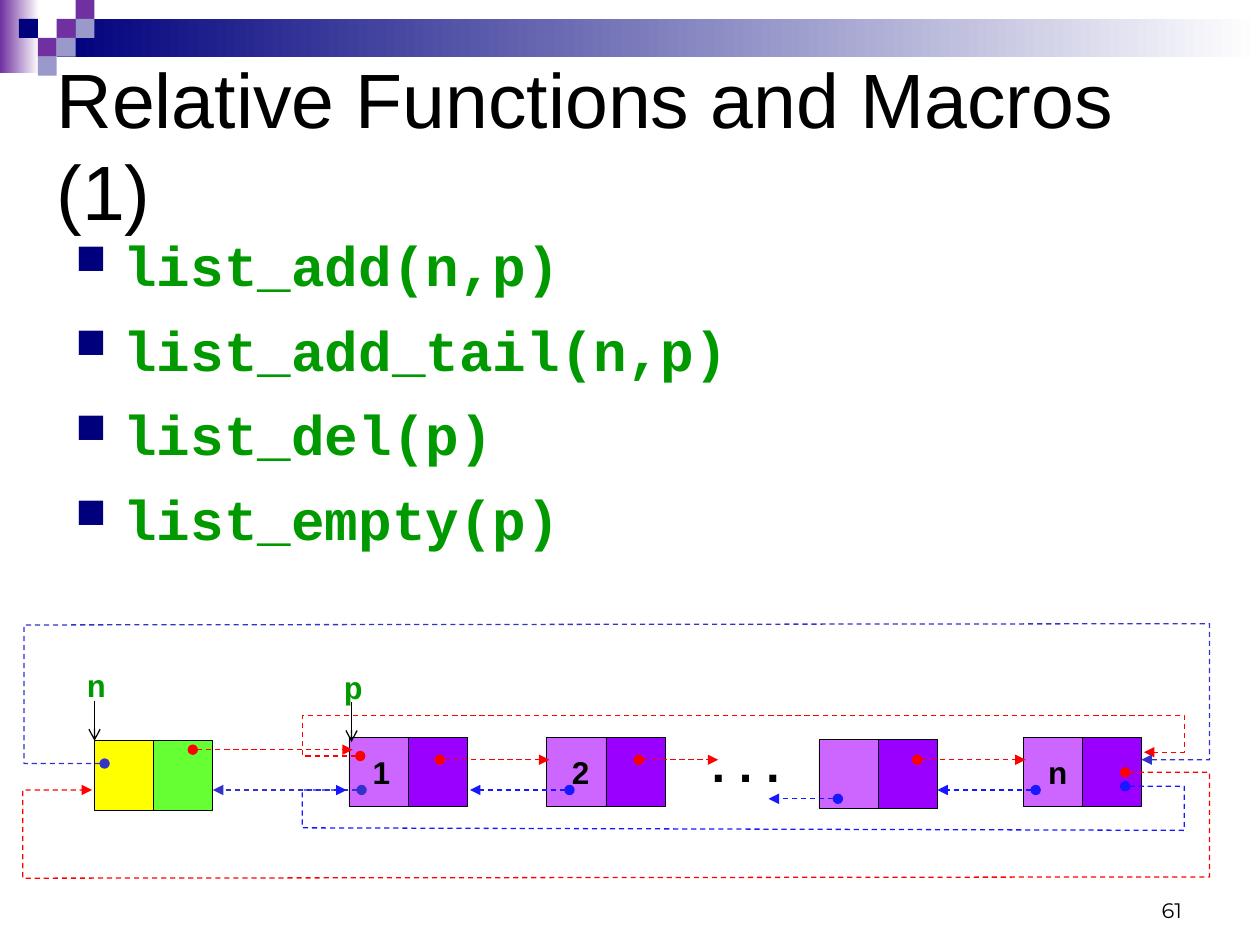
from lxml import etree
from pptx import Presentation
from pptx.dml.color import RGBColor
from pptx.enum.dml import MSO_LINE
from pptx.enum.shapes import MSO_CONNECTOR, MSO_SHAPE
from pptx.enum.text import MSO_ANCHOR, PP_ALIGN
from pptx.oxml.ns import qn
from pptx.util import Inches, Pt

RECT = MSO_SHAPE.RECTANGLE
STRAIGHT = MSO_CONNECTOR.STRAIGHT
DASH = MSO_LINE.DASH
TOP, MIDDLE, BOTTOM = MSO_ANCHOR.TOP, MSO_ANCHOR.MIDDLE, MSO_ANCHOR.BOTTOM
LEFT, RIGHT = PP_ALIGN.LEFT, PP_ALIGN.RIGHT

BLACK = RGBColor(0x00, 0x00, 0x00)
WHITE = RGBColor(0xFF, 0xFF, 0xFF)
NAVY = RGBColor(0x00, 0x00, 0x7D)
PLUM = RGBColor(0x70, 0x30, 0xA0)
LAVENDER = RGBColor(0x99, 0x99, 0xCC)
GREEN = RGBColor(0x00, 0x99, 0x00)
YELLOW = RGBColor(0xFF, 0xFF, 0x00)
LIME = RGBColor(0x66, 0xFF, 0x33)
ORCHID = RGBColor(0xCC, 0x66, 0xFF)
VIOLET = RGBColor(0x99, 0x00, 0xFF)
RED = RGBColor(0xFF, 0x00, 0x00)
BLUE = RGBColor(0x18, 0x18, 0xFF)
INDIGO = RGBColor(0x33, 0x33, 0xCC)


def add_rect(s, x, y, w, h, color, outlined=False, fade=False):
    sp = s.shapes.add_shape(RECT, Inches(x), Inches(y), Inches(w), Inches(h))
    sp.shadow.inherit = False
    if fade:
        sp.fill.gradient()
        sp.fill.gradient_angle = 0
        for stop, stop_color, position in zip(sp.fill.gradient_stops, (color, WHITE), (0, 1)):
            stop.color.rgb = stop_color
            stop.position = position
    else:
        sp.fill.solid()
        sp.fill.fore_color.rgb = color
    if outlined:
        sp.line.color.rgb = BLACK
        sp.line.width = Pt(0.5)
    else:
        sp.line.fill.background()


def add_text(s, x, y, w, h, lines, size, font="Arial", color=BLACK, bold=False,
             anchor=TOP, align=LEFT, wrap=True):
    sp = s.shapes.add_textbox(Inches(x), Inches(y), Inches(w), Inches(h))
    tf = sp.text_frame
    tf.word_wrap = wrap
    tf.vertical_anchor = anchor
    tf.text = "\n".join(lines)
    for p in tf.paragraphs:
        p.alignment = align
        for r in p.runs:
            r.font.name = font
            r.font.size = Pt(size)
            r.font.bold = bold
            r.font.color.rgb = color
    return tf


def style_line(sp, color, tail, head=None, dashed=False):
    sp.line.color.rgb = color
    sp.line.width = Pt(0.75)
    if dashed:
        sp.line.dash_style = DASH
    ln = sp.line._get_or_add_ln()
    if head:
        etree.SubElement(ln, qn("a:headEnd"), type=head)
    etree.SubElement(ln, qn("a:tailEnd"), type=tail)


def add_arrow(s, x1, y1, x2, y2, color, tail="triangle", head="oval", dashed=True):
    sp = s.shapes.add_connector(STRAIGHT, Inches(x1), Inches(y1), Inches(x2), Inches(y2))
    style_line(sp, color, tail, head, dashed)
    etree.SubElement(sp._element.spPr, qn("a:effectLst"))


def add_loop(s, x, y, points, color):
    start, *rest = [(Inches(x + px), Inches(y + py)) for px, py in points]
    builder = s.shapes.build_freeform(*start)
    builder.add_line_segments(rest, close=False)
    sp = builder.convert_to_shape()
    sp.shadow.inherit = False
    sp.fill.background()
    style_line(sp, color, "triangle", "oval", True)


def add_header(s, x, y):
    add_rect(s, x, y, 0.31, 0.58, PLUM, fade=True)
    add_rect(s, x + 0.45, y + 0.15, 9.55, 0.3, NAVY, fade=True)
    tiles = [(3, 1, PLUM), (4, 0, PLUM), (4, 1, LAVENDER), (2, 2, PLUM),
             (1, 1, NAVY), (3, 2, LAVENDER), (2, 3, LAVENDER)]
    for col, row, color in tiles:
        add_rect(s, x + 0.15 * col, y + 0.15 * row, 0.15, 0.15, color)


def add_bullets(s, x, y, w, h, lines):
    tf = add_text(s, x, y, w, h, lines, 32, "Courier New", GREEN, True)
    for p in tf.paragraphs:
        p.space_before = Pt(8)
        p.space_after = Pt(2)
        pPr = p._p.get_or_add_pPr()
        pPr.set("marL", str(Inches(0.38)))
        pPr.set("indent", str(Inches(-0.38)))
        bullet_color = etree.SubElement(pPr, qn("a:buClr"))
        etree.SubElement(bullet_color, qn("a:srgbClr"), val=str(NAVY))
        etree.SubElement(pPr, qn("a:buSzPct"), val="75000")
        etree.SubElement(pPr, qn("a:buChar"), char="■")


def add_node(s, x, y, left_color=ORCHID, right_color=VIOLET):
    for i, color in enumerate((left_color, right_color)):
        add_rect(s, x + 0.47 * i, y, 0.47, 0.55, color, outlined=True)


def add_pointer(s, x, y, name):
    add_arrow(s, x + 0.16, y + 0.32, x + 0.16, y + 0.64, BLACK, "arrow", None, False)
    add_text(s, x, y, 0.39, 0.4, [name], 18, "Courier New", GREEN, True)


def add_linked_list(s, x, y):
    add_node(s, x + 0.75, y + 0.93, YELLOW, LIME)
    for node_x, node_y in [(2.77, 0.9), (4.34, 0.9), (6.5, 0.92), (8.12, 0.9)]:
        add_node(s, x + node_x, y + node_y)
    add_pointer(s, x + 0.59, y + 0.29, "n")
    add_pointer(s, x + 2.63, y + 0.3, "p")
    for label, label_x in [("1", 2.86), ("2", 4.44), ("n", 8.22)]:
        add_text(s, x + label_x, y + 0.98, 0.35, 0.4, [label], 18, bold=True, wrap=False)
    add_text(s, x + 5.55, y + 0.82, 1.02, 0.57, [". . ."], 28, bold=True)

    links = [(3.49, 4.36, 1.08, RED), (5.07, 5.7, 1.08, RED), (7.28, 8.14, 1.08, RED),
             (8.22, 7.44, 1.32, BLUE), (6.65, 6.1, 1.39, BLUE), (4.52, 3.73, 1.32, BLUE),
             (2.87, 1.69, 1.32, INDIGO), (1.53, 2.8, 1, RED)]
    for start, end, link_y, color in links:
        add_arrow(s, x + start, y + link_y, x + end, y + link_y, color)

    loops = [
        (RED, [(2.86, 1.05), (2.4, 1.05), (2.4, 0.73), (9.4, 0.73), (9.4, 1.02), (9.08, 1.02)]),
        (BLUE, [(8.93, 1.29), (9.4, 1.29), (9.4, 1.64), (2.4, 1.62), (2.4, 1.32), (2.75, 1.32)]),
        (INDIGO, [(0.83, 1.11), (0.19, 1.11), (0.19, 0.01), (9.6, 0), (9.6, 1.08), (9.06, 1.08)]),
        (RED, [(8.93, 1.18), (9.6, 1.18), (9.6, 2.01), (0.18, 2.02), (0.18, 1.32), (0.73, 1.32)]),
    ]
    for color, points in loops:
        add_loop(s, x, y, points, color)


def main():
    prs = Presentation()
    prs.slide_width, prs.slide_height = Inches(10), Inches(7.5)
    s = prs.slides.add_slide(prs.slide_layouts[6])
    add_header(s, 0, 0)
    add_bullets(s, 0.5, 1.78, 9, 4.25,
                ["list_add(n,p)", "list_add_tail(n,p)", "list_del(p)", "list_empty(p)"])
    add_text(s, 7.15, 6.87, 2.33, 0.5, ["61"], 12, "Montserrat", anchor=BOTTOM, align=RIGHT)
    add_text(s, 0.35, 0.5, 9.45, 1.28, ["Relative Functions and Macros (1)"], 44, anchor=MIDDLE)
    add_linked_list(s, 0, 4.95)
    prs.save("out.pptx")


if __name__ == "__main__":
    main()
